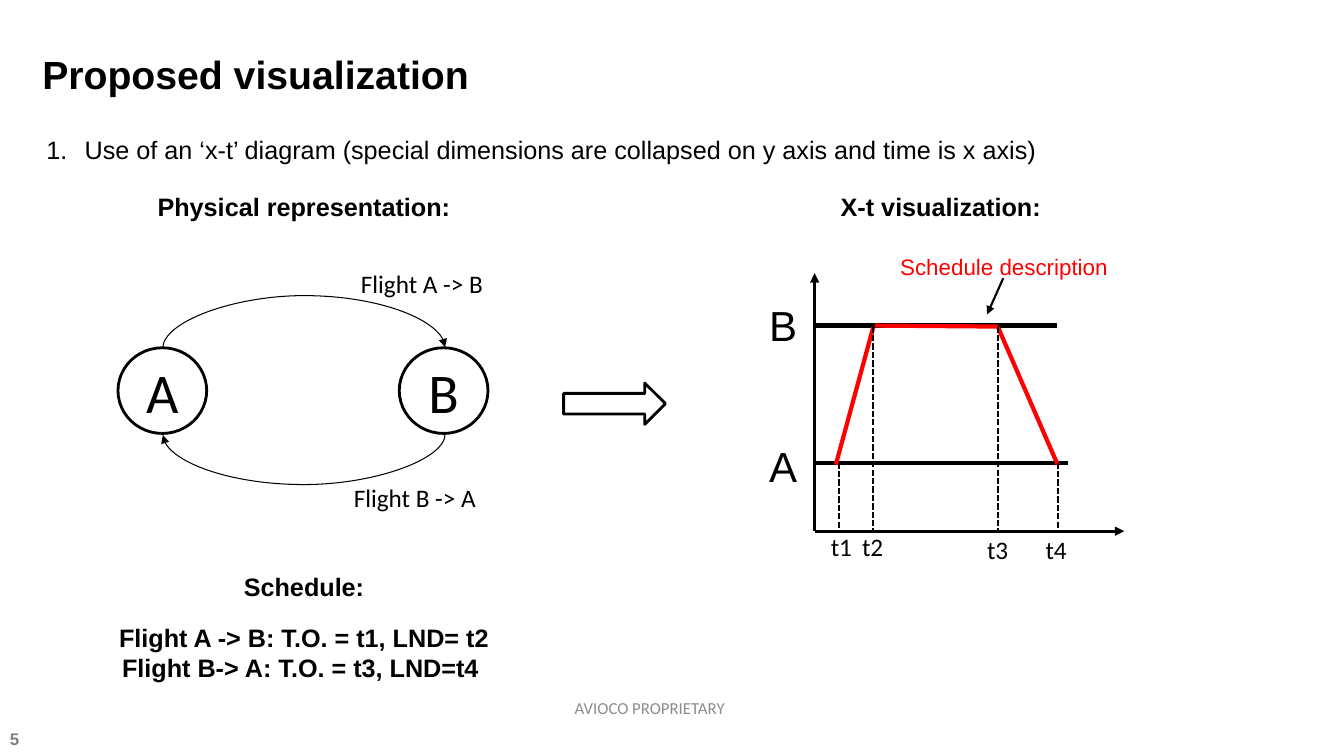
from lxml.etree import SubElement as Sub
from pptx import Presentation
from pptx.dml.color import RGBColor
from pptx.enum.dml import MSO_LINE as Dash
from pptx.enum.shapes import MSO_CONNECTOR as Conn, MSO_SHAPE as Geom
from pptx.enum.text import MSO_ANCHOR as Anchor, MSO_AUTO_SIZE as Fit, PP_ALIGN as Align
from pptx.oxml.ns import qn
from pptx.util import Inches, Pt

BLACK = RGBColor(0, 0, 0)
WHITE = RGBColor(255, 255, 255)
RED = RGBColor(255, 0, 0)
GREY = RGBColor(128, 128, 128)
PALE = RGBColor(140, 140, 140)
SANS, BODY = "Arial", "Calibri"
CELL = Inches(0.1)  # grid: 133.3 columns by 75 rows


def grid(*cells):
    return [round(n * CELL) for n in cells]


class Board:
    def __init__(self, deck):
        self.slide = deck.slides.add_slide(deck.slide_layouts[1])
        self.items = self.slide.shapes

    def fill(self, shape, lines, size=18, font=SANS, color=BLACK, bold=False,
             align=Align.LEFT, anchor=Anchor.TOP, wrap=True):
        frame = shape.text_frame
        frame.word_wrap, frame.auto_size = wrap, Fit.NONE
        frame.vertical_anchor = anchor
        for i, line in enumerate(lines):
            para = frame.add_paragraph() if i else frame.paragraphs[0]
            para.alignment = align
            para.space_before = Pt(0)
            run = para.add_run()
            run.text = line
            run.font.name, run.font.size = font, Pt(size)
            run.font.bold, run.font.color.rgb = bold, color
        return frame

    def text(self, box, *lines, **style):
        self.fill(self.items.add_textbox(*grid(*box)), lines, **style)

    def holder(self, index, box, line, **style):
        shape = self.slide.placeholders[index]
        shape.left, shape.top, shape.width, shape.height = grid(*box)
        return self.fill(shape, [line], **style)

    def number(self, para):
        props = para._p.get_or_add_pPr()
        props.set("marL", str(Inches(0.38)))
        props.set("indent", str(-Inches(0.38)))
        Sub(props, qn("a:buFont"), typeface=SANS)
        Sub(props, qn("a:buAutoNum"), type="arabicPeriod")

    def shape(self, geom, box):
        shape = self.items.add_shape(geom, *grid(*box))
        shape.shadow.inherit = False
        shape.fill.solid()
        shape.fill.fore_color.rgb = WHITE
        shape.line.color.rgb, shape.line.width = BLACK, Pt(2)
        return shape

    def line(self, start, end, width, color=BLACK, arrow=False, dash=None, kind=Conn.STRAIGHT):
        link = self.items.add_connector(kind, *grid(*start, *end))
        link.line.color.rgb, link.line.width = color, Pt(width)
        if dash:
            link.line.dash_style = dash
        props = link._element.spPr
        if arrow:
            Sub(props.find(qn("a:ln")), qn("a:tailEnd"), type="triangle")
        Sub(props, qn("a:effectLst"))
        return link

    def curve(self, start, end, bend):
        """Curve turned a quarter; bend is its depth as a multiple of its width."""
        link = self.line(start, end, 0.75, arrow=True, kind=Conn.CURVE)
        props = link._element.spPr
        props.find(qn("a:xfrm")).set("rot", str(90 * 60000))
        rule = props.find(qn("a:prstGeom")).find(qn("a:avLst"))
        Sub(rule, qn("a:gd"), name="adj1", fmla=f"val {bend * 100000}")


def main():
    deck = Presentation()
    deck.slide_width, deck.slide_height = Inches(13.33), Inches(7.5)
    board = Board(deck)
    mid = {"align": Align.CENTER}
    label = {"font": BODY, "wrap": False, **mid}

    # Page number and footer
    board.text((0, 71.8, 17.1, 3), "5", size=12, color=GREY, bold=True)
    board.text((48.9, 68.6, 31.1, 3.3), "AVIOCO PROPRIETARY", size=12, font=BODY,
               color=PALE, anchor=Anchor.MIDDLE, **mid)

    # Title and list
    board.holder(0, (3.2, 1.2, 120, 12.2), "Proposed visualization", size=28,
                 bold=True, anchor=Anchor.MIDDLE)
    frame = board.holder(1, (3.6, 12.8, 121.4, 4), "Use of an ‘x-t’ diagram (special "
                         "dimensions are collapsed on y axis and time is x axis)")
    board.number(frame.paragraphs[0])

    # Axes and places
    left, base = 80.8, 52.7
    high, low = 32.4, 45.9
    board.line((left, base), (left, 27.1), 2.25, arrow=True)
    board.line((left, base), (111.5, base), 2.25, arrow=True)
    for name, row, right, top in (("A", low, 105.9, 43.2), ("B", 32.3, 104.8, 29.2)):
        board.line((left, row), (right, row), 3)
        board.text((75.3, top, 4.7, 6.1), name, size=30)

    # Schedule line
    board.line((99.5, 27.6), (97.9, 31.2), 1.5, arrow=True)
    board.text((88.3, 24.6, 25, 3.7), "Schedule description", size=16, color=RED)
    for start, end in (((82.9, 46.1), (86.6, 32.5)),
                       ((86.8, 32.3), (99, high)),
                       ((99, 32.5), (104.9, 46.1))):
        board.line(start, end, 3, RED)

    # Arrow between the views
    board.shape(Geom.RIGHT_ARROW, (55.9, 38, 10.1, 4.1))

    # Places and flights
    for name, col in (("A", 11.7), ("B", 39.6)):
        place = board.shape(Geom.OVAL, (col, 34.5, 8.8, 8.5))
        board.fill(place, [name], size=40, font=BODY, anchor=Anchor.MIDDLE, **mid)
    board.curve((30.2, 48.5), (30.1, 20.5), 53)
    board.curve((30.1, 29.1), (30.2, 57.1), 51)
    board.text((34.7, 26.1, 14.3, 4), "Flight A -> B", **label)
    board.text((34, 47.4, 14.3, 4), "Flight B -> A", **label)

    # Time marks
    for name, col, top, at, row in (("t1", 83.2, low, 81.4, 52.2), ("t2", 86.6, high, 84.5, 52.2),
                                    ("t3", 99, high, 96.9, 52.5), ("t4", 104.9, low, 102.7, 52.5)):
        board.line((col, top), (col, base), 1.5, dash=Dash.SQUARE_DOT)
        board.text((at, row, 4.1, 4), name, **label)

    # Headings and schedule
    board.text((12.8, 18.5, 34.7, 4), "Physical representation:", bold=True, **mid)
    board.text((82.4, 18.5, 22.3, 4), "X-t visualization:", bold=True)
    board.text((23.2, 56.2, 22.3, 4), "Schedule:", bold=True)
    board.text((9.7, 61.2, 40.9, 7.1), "Flight A -> B: T.O. = t1, LND= t2",
               "Flight B-> A: T.O. = t3, LND=t4 ", bold=True, **mid)

    deck.save("out.pptx")


if __name__ == "__main__":
    main()
